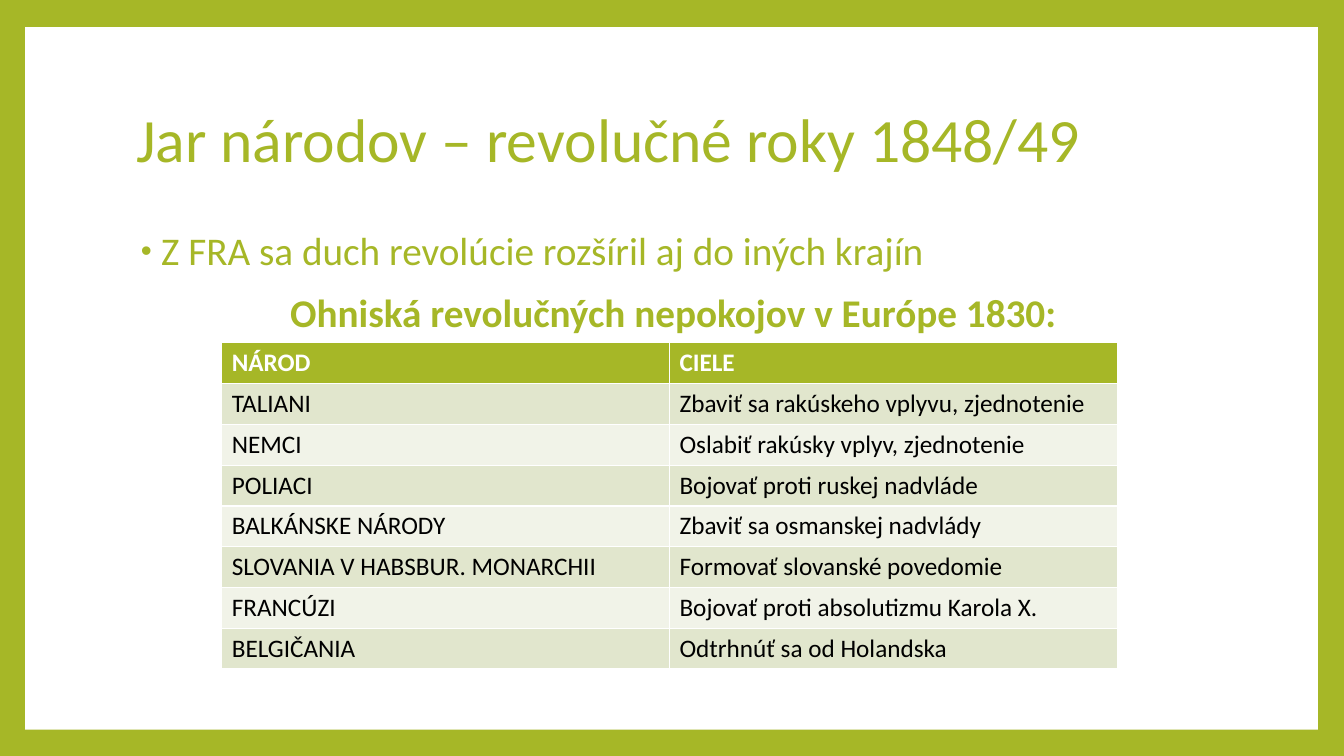
from lxml import etree
from pptx import Presentation
from pptx.dml.color import RGBColor
from pptx.enum.shapes import MSO_SHAPE
from pptx.enum.text import MSO_ANCHOR, MSO_AUTO_SIZE, PP_ALIGN
from pptx.oxml.ns import qn
from pptx.util import Inches, Pt

RECT = MSO_SHAPE.RECTANGLE
MIDDLE = MSO_ANCHOR.MIDDLE
FIXED = MSO_AUTO_SIZE.NONE
LEFT, CENTER = PP_ALIGN.LEFT, PP_ALIGN.CENTER
FONT = "Calibri"
COLORS = {"green": "A6B727", "white": "FFFFFF", "black": "000000",
          "dark": "E1E6CD", "light": "F1F3E8"}
ROWS = [
    ("NÁROD", "CIELE"),
    ("TALIANI", "Zbaviť sa rakúskeho vplyvu, zjednotenie"),
    ("NEMCI", "Oslabiť rakúsky vplyv, zjednotenie"),
    ("POLIACI", "Bojovať proti ruskej nadvláde"),
    ("BALKÁNSKE NÁRODY", "Zbaviť sa osmanskej nadvlády"),
    ("SLOVANIA V HABSBUR. MONARCHII", "Formovať slovanské povedomie"),
    ("FRANCÚZI", "Bojovať proti absolutizmu Karola X."),
    ("BELGIČANIA", "Odtrhnúť sa od Holandska"),
]


def paint(fill, name):
    fill.solid()
    fill.fore_color.rgb = RGBColor.from_string(COLORS[name])


def style(para, size, color, bold=False):
    font = para.font
    font.name, font.size, font.bold = FONT, Pt(size), bold
    paint(font.fill, color)


prs = Presentation()
prs.slide_width, prs.slide_height = Inches(13.33), Inches(7.5)
slide = prs.slides.add_slide(prs.slide_layouts[5])
paint(slide.background.fill, "green")

title = slide.shapes.title
title.left, title.top = Inches(1.25), Inches(0.67)
title.width, title.height = Inches(10.8), Inches(1.48)
frame = title.text_frame
frame.text = "Jar národov – revolučné roky 1848/49"
frame.auto_size, frame.vertical_anchor = FIXED, MIDDLE
head = frame.paragraphs[0]
head.alignment, head.line_spacing = LEFT, 0.9
style(head, 44, "green")

panel = slide.shapes.add_shape(RECT, Inches(0.25), Inches(0.27), Inches(12.82), Inches(6.97))
panel.shadow.inherit = False
paint(panel.fill, "white")
panel.line.fill.background()
title.element.addprevious(panel.element)

body = slide.shapes.add_textbox(title.left, Inches(2.25), title.width, Inches(4.75)).text_frame
body.word_wrap = True
point = body.paragraphs[0]
point.text = "Z FRA sa duch revolúcie rozšíril aj do iných krajín"
point.line_spacing = 0.9
props = point._p.get_or_add_pPr()
props.set("marL", str(Inches(0.25)))
props.set("indent", str(Inches(-0.2)))
tint = etree.SubElement(props, qn("a:buClr"))
etree.SubElement(tint, qn("a:srgbClr"), val=COLORS["green"])
etree.SubElement(props, qn("a:buSzPct"), val="80000")
etree.SubElement(props, qn("a:buFont"), typeface="Arial")
etree.SubElement(props, qn("a:buChar"), char="•")
style(point, 28, "green")

label = body.add_paragraph()
label.text = "Ohniská revolučných nepokojov v Európe 1830:"
label.alignment, label.line_spacing, label.space_before = CENTER, 0.9, Pt(14)
label._p.get_or_add_pPr().set("marL", str(Inches(0.05)))
style(label, 28, "green", True)

table = slide.shapes.add_table(len(ROWS), 2, Inches(2.2), Inches(3.4),
                               Inches(8.88), Inches(3.24)).table
for r, row in enumerate(ROWS):
    for c, text in enumerate(row):
        cell = table.cell(r, c)
        cell.text = text
        paint(cell.fill, "green" if r == 0 else "dark" if r % 2 else "light")
        style(cell.text_frame.paragraphs[0], 18, "black" if r else "white", r == 0)

prs.save("out.pptx")
